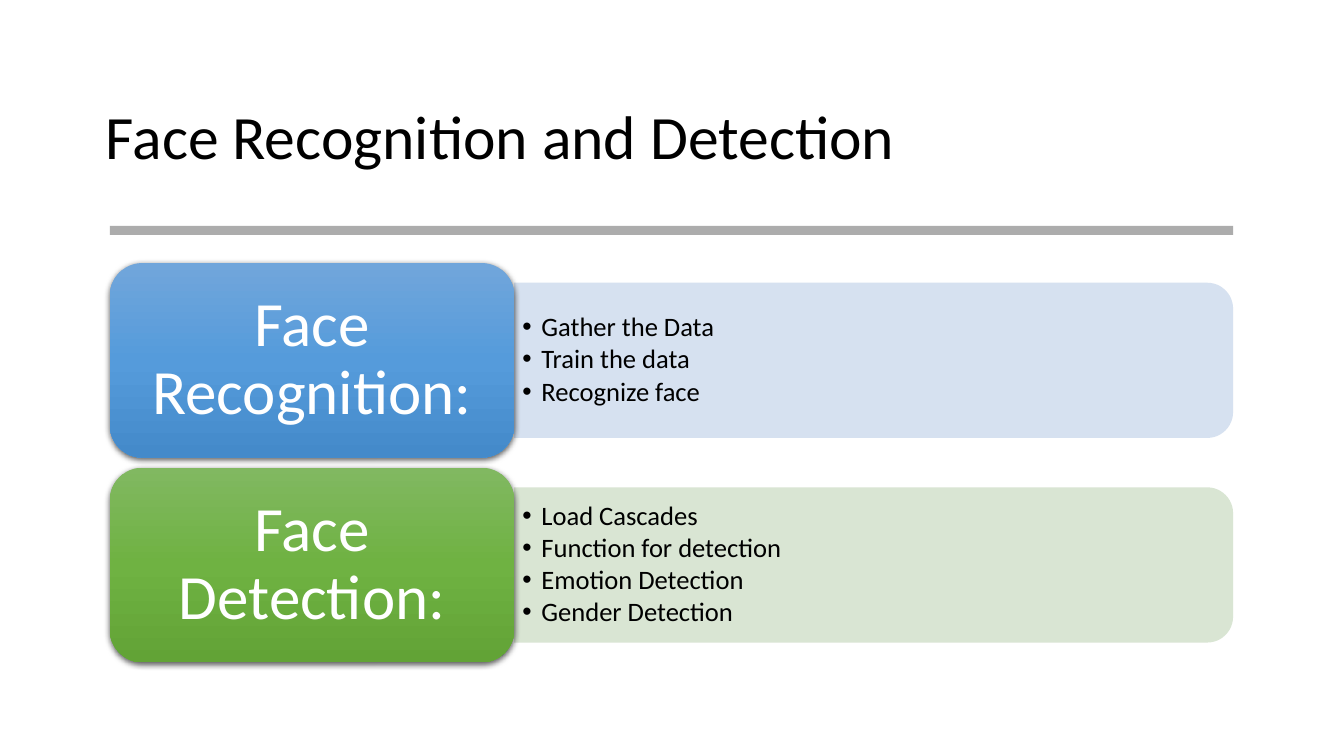
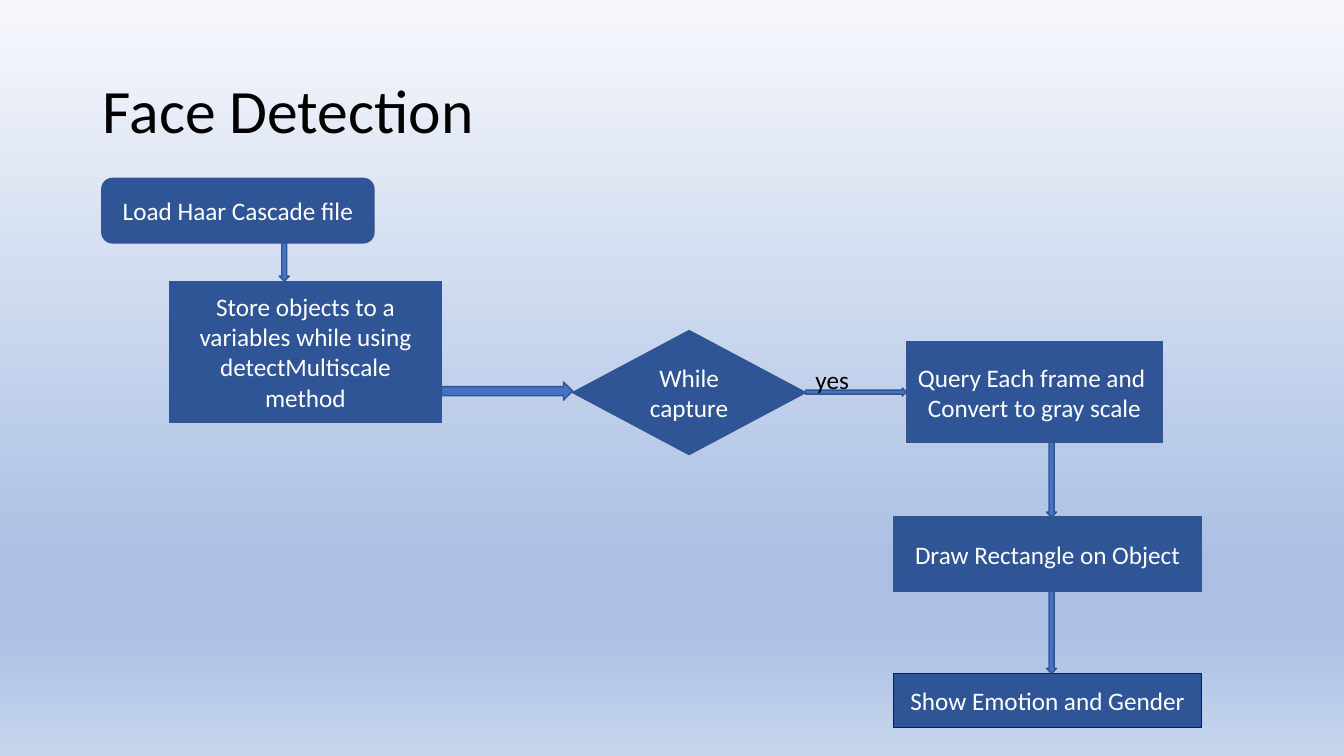
from pptx import Presentation
from pptx.dml.color import RGBColor
from pptx.enum.shapes import MSO_SHAPE as SHAPE
from pptx.enum.text import MSO_ANCHOR as ANCHOR, MSO_AUTO_SIZE as AUTO, PP_ALIGN as ALIGN
from pptx.oxml import parse_xml
from pptx.oxml.ns import nsdecls, qn
from pptx.util import Inches, Pt
from lxml import etree

FONT = "Calibri"
C = {
    "black": "000000", "white": "FFFFFF", "rule": "808080",
    "node": "2F5597", "arrow": "4472C4", "edge": "325491", "navy": "002060",
}
SKY = [(0, "F6F8FC"), (74, "ABC0E4"), (83, "ABC0E4"), (100, "C7D5ED")]

# Slide 1: card text, card gradient, panel colour, panel list
GROUPS = [
    ("Face Recognition:", [(0, "71A6DB"), (50, "559BDB"), (100, "448ACA")], "D2DEEF",
     ["Gather the Data", "Train the data", "Recognize face"]),
    ("Face Detection:", [(0, "81B861"), (50, "6FB242"), (100, "62A336")], "D5E3CF",
     ["Load Cascades", "Function for detection", "Emotion Detection", "Gender Detection"]),
]

# Slide 2: node -> shape, box, edge colour, lines of text
NODES = {
    "load": (SHAPE.ROUNDED_RECTANGLE, (1.01, 1.77, 2.7, 0.64), "edge",
             ["Load Haar Cascade file"]),
    "store": (SHAPE.RECTANGLE, (1.68, 2.79, 2.7, 1.4), "edge",
              ["Store objects to a variables while using detectMultiscale method"]),
    "while": (SHAPE.DIAMOND, (5.68, 3.28, 2.31, 1.23), "edge", ["While capture"]),
    "query": (SHAPE.RECTANGLE, (8.99, 3.39, 2.54, 1), "edge",
              ["Query Each frame and ", "Convert to gray scale"]),
    "draw": (SHAPE.RECTANGLE, (8.86, 5.13, 3.06, 0.74), "edge", ["Draw Rectangle on Object"]),
    "show": (SHAPE.RECTANGLE, (8.86, 6.68, 3.06, 0.54), "navy", ["Show Emotion and Gender"]),
}
# from, to, left edge of the arrow, width
DOWN = [("load", "store", 2.77, 0.1), ("query", "draw", 10.38, 0.1), ("draw", "show", 10.38, 0.1)]
# from, to, top edge of the arrow, height
RIGHT = [("store", "while", 3.79, 0.18), ("while", "query", 3.85, 0.08)]


def rgb(color):
    return RGBColor.from_string(color)


def inches(box):
    return [Inches(v) for v in box]


def set_gradient(fill, owner, stops):
    """Fill from top to bottom; owner is the element that holds the fill."""
    fill.gradient()
    fill.gradient_angle = 270
    gs_list = next(owner.iter(qn("a:gsLst")))
    for gs in list(gs_list):
        gs_list.remove(gs)
    for pos, color in stops:
        gs = etree.SubElement(gs_list, qn("a:gs"), pos=str(pos * 1000))
        etree.SubElement(gs, qn("a:srgbClr"), val=color)


def add_shape(s, kind, box, color=None, edge=None, alpha=100):
    sp = s.shapes.add_shape(kind, *inches(box))
    sp.shadow.inherit = False
    if color:
        sp.fill.solid()
        sp.fill.fore_color.rgb = rgb(color)
        if alpha < 100:
            clr = next(sp.element.spPr.iter(qn("a:srgbClr")))
            etree.SubElement(clr, qn("a:alpha"), val=str(alpha * 1000))
    if edge:
        sp.line.color.rgb = rgb(edge)
        sp.line.width = Pt(1)
    else:
        sp.line.fill.background()
    return sp


def write(sp, lines, size, color, align=ALIGN.CENTER, spacing=1, after=0,
          anchor=ANCHOR.MIDDLE, insets=(0.1, 0.05)):
    tf = sp.text_frame
    tf.word_wrap = True
    tf.auto_size = AUTO.NONE
    tf.vertical_anchor = anchor
    tf.margin_left = tf.margin_right = Inches(insets[0])
    tf.margin_top = tf.margin_bottom = Inches(insets[1])
    for i, line in enumerate(lines):
        p = tf.add_paragraph() if i else tf.paragraphs[0]
        p.alignment, p.line_spacing = align, spacing
        p.space_before, p.space_after = Pt(0), Pt(after)
        r = p.add_run()
        r.text = line
        r.font.size, r.font.name = Pt(size), FONT
        r.font.color.rgb = rgb(color)
    return tf


def place(sp, box):
    sp.left, sp.top, sp.width, sp.height = inches(box)


def add_slide(prs, layout, title, box):
    s = prs.slides.add_slide(prs.slide_layouts[layout])
    place(s.shapes.title, box)
    write(s.shapes.title, [title], 44, C["black"], ALIGN.LEFT, 0.9)
    return s


def add_card_shadow(sp):
    sp.element.spPr.find(qn("a:effectLst")).append(parse_xml(
        f'<a:outerShdw {nsdecls("a")} blurRad="57150" dist="19050" dir="5400000" '
        'algn="ctr" rotWithShape="0"><a:srgbClr val="000000"><a:alpha val="63000"/>'
        '</a:srgbClr></a:outerShdw>'))


def add_bullets(tf):
    for p in tf.paragraphs:
        pPr = p._p.get_or_add_pPr()
        pPr.set("marL", str(Inches(0.19)))
        pPr.set("indent", str(-Inches(0.19)))
        etree.SubElement(pPr, qn("a:buFont"), typeface="Arial")
        etree.SubElement(pPr, qn("a:buChar"), char="•")


def build_overview(prs):
    s = add_slide(prs, 3, "Face Recognition and Detection", (0.95, 0.66, 11.43, 1.45))
    add_shape(s, SHAPE.RECTANGLE, (1.09, 2.24, 11.14, 0.09), C["rule"], alpha=65)

    left, top, card_w, card_h, gap = 1.09, 2.61, 4.01, 1.93, 0.1
    panel_w, panel_h = 7.13, 1.54
    panel_left = left + card_w
    lists = [ph for ph in s.placeholders if ph.placeholder_format.idx in (1, 2)]
    for i, (name, stops, tint, items) in enumerate(GROUPS):
        y = top + i * (card_h + gap)
        mid = y + card_h / 2

        # Panel: rounded at its right end, so turned a quarter
        panel = add_shape(s, SHAPE.ROUND_2_SAME_RECTANGLE,
                          (panel_left + (panel_w - panel_h) / 2, mid - panel_w / 2,
                           panel_h, panel_w), tint, alpha=90)
        panel.rotation = 90

        # List, brought in front of its panel
        body = lists[i]
        place(body, (panel_left, mid - 0.7, 7.06, 1.4))
        add_bullets(write(body, items, 19, C["black"], ALIGN.LEFT, 0.9, 2.5,
                          insets=(0.08, 0.04)))
        panel.element.addnext(body.element)

        # Card
        card = add_shape(s, SHAPE.ROUNDED_RECTANGLE, (left, y, card_w, card_h))
        set_gradient(card.fill, card.element, stops)
        add_card_shadow(card)
        write(card, [name], 45, C["white"], spacing=0.9, insets=(0.19, 0.09))


def build_flowchart(prs):
    s = add_slide(prs, 5, "Face Detection", (0.92, 0.4, 11.5, 1.45))
    set_gradient(s.background.fill, s.element, SKY)

    for kind, box, edge, lines in NODES.values():
        write(add_shape(s, kind, box, C["node"], C[edge]), lines, 18, C["white"])

    # Arrows fill the space between two nodes
    boxes = {name: node[1] for name, node in NODES.items()}
    for start, end, x, w in DOWN:
        y = boxes[start][1] + boxes[start][3]
        add_shape(s, SHAPE.DOWN_ARROW, (x, y, w, boxes[end][1] - y), C["arrow"], C["edge"])
    for start, end, y, h in RIGHT:
        x = boxes[start][0] + boxes[start][2]
        add_shape(s, SHAPE.RIGHT_ARROW, (x, y, boxes[end][0] - x, h), C["arrow"], C["edge"])

    label = s.shapes.add_textbox(*inches((7.99, 3.57, 0.7, 0.4)))
    write(label, ["yes"], 18, C["black"], ALIGN.LEFT, anchor=ANCHOR.TOP)


def main():
    prs = Presentation()
    prs.slide_width, prs.slide_height = Inches(13.33), Inches(7.5)
    build_overview(prs)
    build_flowchart(prs)
    prs.save("out.pptx")


if __name__ == "__main__":
    main()
